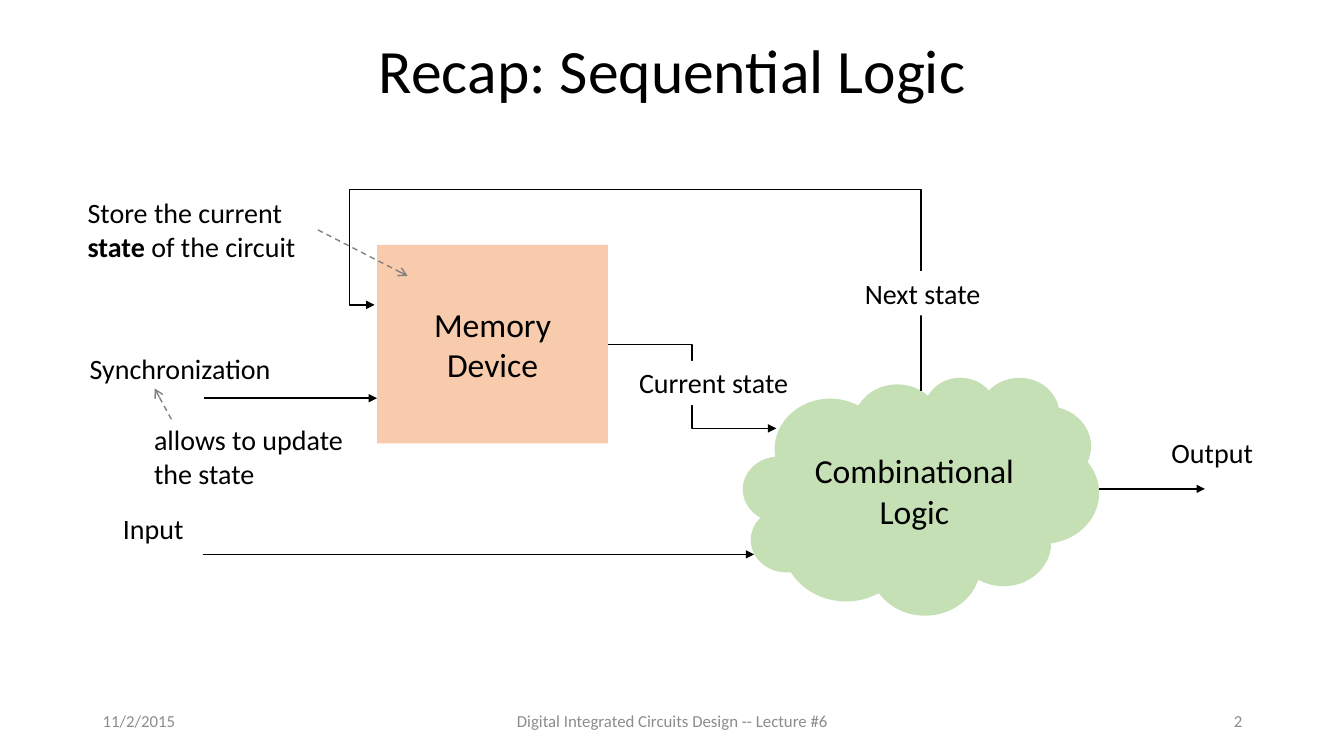
from lxml.etree import SubElement
from pptx import Presentation
from pptx.dml.color import RGBColor
from pptx.enum.dml import MSO_LINE
from pptx.enum.shapes import MSO_CONNECTOR, MSO_SHAPE
from pptx.enum.text import MSO_ANCHOR, MSO_AUTO_SIZE, PP_ALIGN
from pptx.oxml.ns import qn
from pptx.util import Inches, Pt

FONT = "Calibri"
BLACK, WHITE, GRAY, FOOTER_GRAY = "000000", "FFFFFF", "808080", "8C8C8C"
GREEN, ORANGE = "C5E0B4", "F8CBAD"


def rgb(value):
    return RGBColor.from_string(value)


def write(frame, runs, size, color=BLACK, align=PP_ALIGN.LEFT,
          anchor=MSO_ANCHOR.MIDDLE, wrap=True):
    """Fill a text frame with one paragraph of (text, bold) runs."""
    frame.word_wrap = wrap
    frame.vertical_anchor = anchor
    paragraph = frame.paragraphs[0]
    paragraph.alignment = align
    for text, bold in runs:
        run = paragraph.add_run()
        run.text = text
        run.font.name = FONT
        run.font.size = Pt(size)
        run.font.bold = bold
        run.font.color.rgb = rgb(color)
    return paragraph


def add_arrowhead(part, head):
    line = part.element.spPr.find(qn("a:ln"))
    SubElement(line, qn("a:tailEnd"), type=head)


def add_block(slide, kind, box, color):
    block = slide.shapes.add_shape(kind, *map(Inches, box))
    block.shadow.inherit = False
    block.fill.solid()
    block.fill.fore_color.rgb = rgb(color)
    block.line.fill.background()
    return block


def add_label(slide, text, box):
    label = add_block(slide, MSO_SHAPE.RECTANGLE, box, WHITE)
    write(label.text_frame, [(text, False)], 20,
          anchor=MSO_ANCHOR.TOP, wrap=False)
    label.text_frame.auto_size = MSO_AUTO_SIZE.SHAPE_TO_FIT_TEXT


def add_callout(slide, runs, left, top, pointer):
    callout = slide.shapes.add_shape(
        MSO_SHAPE.LINE_CALLOUT_1_NO_BORDER,
        Inches(left), Inches(top), Inches(2.35), Inches(1.39))
    callout.shadow.inherit = False
    callout.fill.background()
    callout.line.color.rgb = rgb(GRAY)
    callout.line.width = Pt(1)
    callout.line.dash_style = MSO_LINE.DASH
    add_arrowhead(callout, "arrow")
    callout.element.spPr.xfrm.set("flipH", "1")
    for index, value in enumerate(pointer):
        callout.adjustments[index] = value
    write(callout.text_frame, runs, 20)


def add_signal(slide, start, end, kind=MSO_CONNECTOR.STRAIGHT):
    signal = slide.shapes.add_connector(kind, *map(Inches, start + end))
    signal.line.color.rgb = rgb(BLACK)
    signal.line.width = Pt(1)
    add_arrowhead(signal, "triangle")
    SubElement(signal.element.spPr, qn("a:effectLst"))
    return signal


def add_feedback(slide):
    """Four-segment elbow from the logic over the top to the memory."""
    feedback = add_signal(slide, (6, 0.74), (6.85, 6.16), MSO_CONNECTOR.ELBOW)
    properties = feedback.element.spPr
    properties.xfrm.set("rot", str(270 * 60000))
    properties.xfrm.set("flipV", "1")
    geometry = properties.find(qn("a:prstGeom"))
    geometry.set("prst", "bentConnector4")
    guides = geometry.find(qn("a:avLst"))
    for name, value in (("adj1", 234900), ("adj2", 104600)):
        SubElement(guides, qn("a:gd"), name=name, fmla=f"val {value}")


def add_footer(slide, text, left, width, align):
    footer = slide.shapes.add_textbox(
        Inches(left), Inches(6.95), Inches(width), Inches(0.4))
    write(footer.text_frame, [(text, False)], 12, FOOTER_GRAY, align)


def main():
    deck = Presentation()
    deck.slide_width, deck.slide_height = Inches(13.33), Inches(7.5)
    slide = deck.slides.add_slide(deck.slide_layouts[5])

    # Title
    title = slide.shapes.title
    title.left, title.top = Inches(0.92), Inches(0.33)
    title.width, title.height = Inches(11.5), Inches(0.79)
    heading = write(title.text_frame, [("Recap: Sequential Logic", False)], 44,
                    align=PP_ALIGN.CENTER)
    heading.line_spacing = 0.9

    # Footer
    add_footer(slide, "11/2/2015", 0.92, 3, PP_ALIGN.LEFT)
    add_footer(slide, "Digital Integrated Circuits Design -- Lecture #6",
               4.42, 4.5, PP_ALIGN.CENTER)
    add_footer(slide, "2", 9.42, 3, PP_ALIGN.RIGHT)

    # Logic and memory blocks
    logic = add_block(slide, MSO_SHAPE.CLOUD, (7.37, 3.74, 3.53, 2.36), GREEN)
    logic_text = write(logic.text_frame, [("Combinational Logic", False)], 24,
                       align=PP_ALIGN.CENTER)
    logic_text._p.get_or_add_pPr().set("marL", str(Inches(0.12)))
    memory = add_block(slide, MSO_SHAPE.RECTANGLE,
                       (3.74, 2.43, 2.29, 1.97), ORANGE)
    write(memory.text_frame, [("Memory Device", False)], 24,
          align=PP_ALIGN.CENTER)

    # Signals
    current_state = add_signal(slide, (6.03, 3.42), (7.7, 4.25),
                               MSO_CONNECTOR.ELBOW)
    current_state.begin_connect(memory, 3)
    add_signal(slide, (2.01, 5.5), (7.48, 5.5))
    add_signal(slide, (2.02, 3.95), (3.74, 3.95))
    add_feedback(slide)
    add_signal(slide, (10.9, 4.85), (11.95, 4.85))

    # Notes and signal names
    add_callout(slide, [("Store the current ", False), ("state", True),
                        (" of the circuit", False)],
                0.77, 1.58, (0.504, -0.014, 0.833, -0.393))
    for text, left, top, width in (
            ("Next state", 8.48, 2.69, 1.36),
            ("Current state", 6.24, 3.58, 1.7),
            ("Input", 1.12, 5.03, 0.81),
            ("Output", 11.52, 4.27, 1.02),
            ("Synchronization", 0.79, 3.44, 2.01)):
        add_label(slide, text, (left, top, width, 0.44))
    add_callout(slide, [("allows to update the state", False)],
                1.43, 3.83, (0.238, 0.885, 0.017, 0.956))

    deck.save("out.pptx")


if __name__ == "__main__":
    main()
